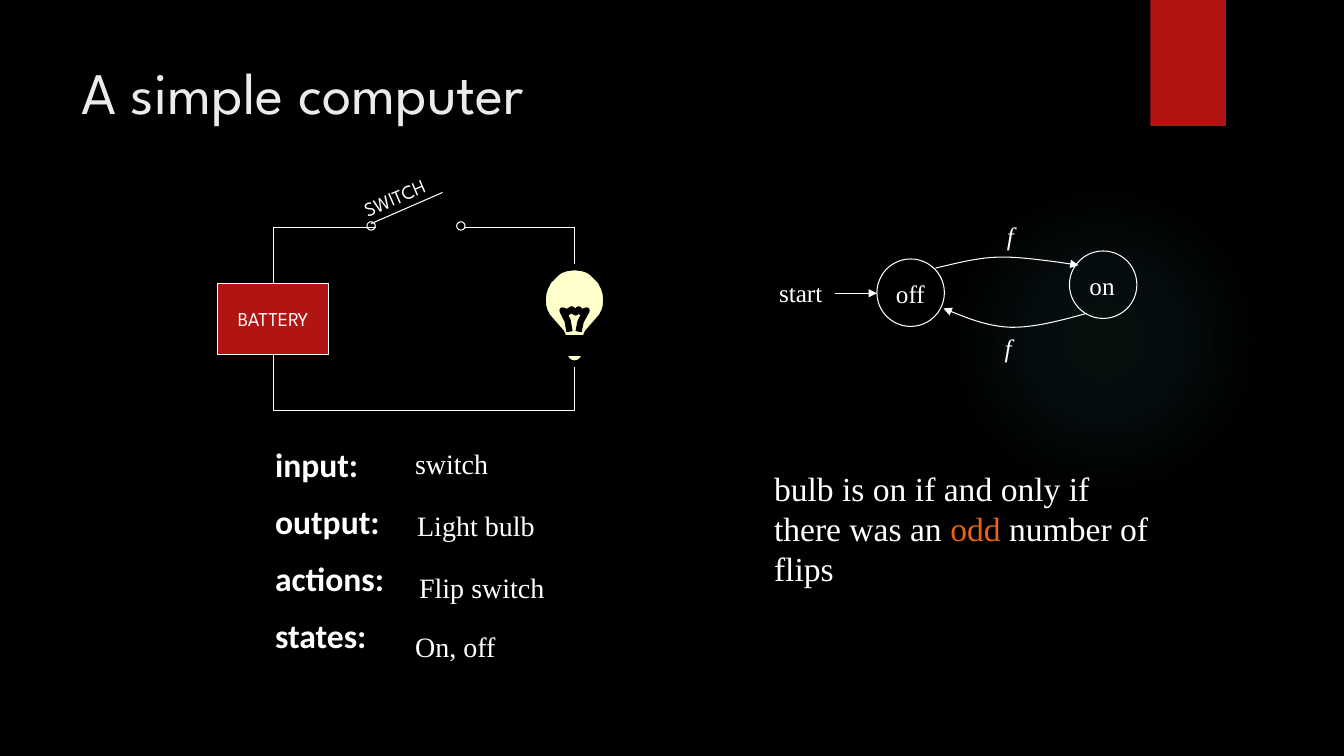
from dataclasses import dataclass

from lxml import etree
from pptx import Presentation
from pptx import util as u
from pptx.dml.color import RGBColor
from pptx.enum import shapes, text
from pptx.oxml import parse_xml
from pptx.oxml.ns import nsdecls, qn


@dataclass(frozen=True)
class Theme:
    black: str = "000000"
    white: str = "FFFFFF"
    heading: str = "EBEBEB"
    red: str = "B01513"
    orange: str = "EA6312"
    cream: str = "FFFFCC"
    glow: str = "50B9C1"
    display: str = "League Spartan"
    label: str = "Calibri"
    serif: str = "Times New Roman"
    title_size: float = 42
    body_size: float = 24
    value_size: float = 20
    state_size: float = 18
    part_size: float = 14
    thin: float = 0.75
    thick: float = 4.5


class Slide:
    def __init__(self, page, theme):
        self.page = page
        self.theme = theme
        page.background.fill.solid()
        page.background.fill.fore_color.rgb = RGBColor.from_string(theme.black)

    def paint(self, shape, fill=None, line=None, width=None):
        shape.shadow.inherit = False
        if fill:
            shape.fill.solid()
            shape.fill.fore_color.rgb = RGBColor.from_string(fill)
        else:
            shape.fill.background()
        if line:
            shape.line.color.rgb = RGBColor.from_string(line)
            shape.line.width = u.Pt(width or self.theme.thin)
        else:
            shape.line.fill.background()
        return shape

    def shape(self, kind, left, top, width, height, fill=None, line=None):
        frame = (u.Pt(v) for v in (left, top, width, height))
        return self.paint(self.page.shapes.add_shape(kind, *frame), fill, line)

    def circle(self, left, top, size, fill=None):
        return self.shape(shapes.MSO_SHAPE.OVAL, left, top, size, size, fill, self.theme.white)

    def glow(self, left, top, size, stops):
        shape = self.shape(shapes.MSO_SHAPE.OVAL, left, top, size, size, self.theme.glow)
        marks = "".join(
            f'<a:gs pos="{place * 1000}"><a:srgbClr val="{self.theme.glow}">'
            f'<a:alpha val="{alpha * 1000}"/></a:srgbClr></a:gs>' for place, alpha in stops)
        gradient = parse_xml(
            f'<a:gradFill {nsdecls("a")} rotWithShape="1"><a:gsLst>{marks}</a:gsLst>'
            '<a:path path="circle"><a:fillToRect l="50000" t="50000" r="50000" b="50000"/>'
            '</a:path></a:gradFill>')
        props = shape._element.spPr
        props.replace(props.find(qn("a:solidFill")), gradient)

    def arrowhead(self, shape, end):
        outline = shape._element.spPr.find(qn("a:ln"))
        etree.SubElement(outline, qn(f"a:{end}End"), type="triangle")

    def line(self, x1, y1, x2, y2, end=None):
        wire = self.page.shapes.add_connector(
            shapes.MSO_CONNECTOR.STRAIGHT, *(u.Pt(v) for v in (x1, y1, x2, y2)))
        wire.line.color.rgb = RGBColor.from_string(self.theme.white)
        wire.line.width = u.Pt(self.theme.thin)
        etree.SubElement(wire._element.spPr, qn("a:effectLst"))
        if end:
            self.arrowhead(wire, end)

    def outline(self, points, fill=None, line=None, width=None, close=False):
        first, *rest = [(u.Pt(x), u.Pt(y)) for x, y in points]
        builder = self.page.shapes.build_freeform(*first)
        builder.add_line_segments(rest, close=close)
        return self.paint(builder.convert_to_shape(), fill, line, width)

    def curve(self, start, segments, end, steps=12):
        """Trace joined cubic curves as a fine line with an arrowhead."""
        points = [start]
        for a, b, c in segments:
            origin = points[-1]
            for t in (i / steps for i in range(1, steps + 1)):
                weights = ((1 - t) ** 3, 3 * t * (1 - t) ** 2, 3 * t * t * (1 - t), t ** 3)
                points.append(tuple(
                    sum(w * p[axis] for w, p in zip(weights, (origin, a, b, c)))
                    for axis in (0, 1)))
        self.arrowhead(self.outline(points, line=self.theme.white), end)

    def fill_text(self, box, paragraphs, font, size, color=None, bold=False, italic=False,
                  gap=0, wrap=True):
        """Fill a box; each paragraph is a list of (words, colour) spans."""
        frame = box.text_frame
        frame.word_wrap = wrap
        for i, spans in enumerate(paragraphs):
            para = frame.add_paragraph() if i else frame.paragraphs[0]
            if i and gap:
                para.space_before = u.Pt(gap)
            para.font.name, para.font.size = font, u.Pt(size)
            para.font.bold, para.font.italic = bold, italic
            para.font.color.rgb = RGBColor.from_string(color or self.theme.white)
            for words, tint in spans:
                span = para.add_run()
                span.text = words
                if tint:
                    span.font.color.rgb = RGBColor.from_string(tint)
        return frame

    def text(self, left, top, width, height, paragraphs, font, size, **style):
        box = self.page.shapes.add_textbox(*(u.Pt(v) for v in (left, top, width, height)))
        if isinstance(paragraphs, str):
            paragraphs = [[(paragraphs, None)]]
        self.fill_text(box, paragraphs, font, size, **style)
        return box


def draw_circuit(slide):
    theme = slide.theme
    left, right, top, bottom = 195.1, 410.4, 162.7, 293

    # Switch
    slide.circle(262.1, 158.4, 6, theme.black)
    slide.line(265, 159.8, 316.1, 137.5)
    slide.circle(326.2, 158.4, 6, theme.black)

    # Wires
    for wire in ((left, top, 268.6, top), (left, top, left, 202.3),
                 (left, 253.4, left, bottom), (left, bottom, right, bottom),
                 (331.2, top, right, top), (right, top, right, bottom)):
        slide.line(*wire)

    # Battery
    battery = slide.shape(shapes.MSO_SHAPE.RECTANGLE, 155.5, 202.3, 79.2, 51.1,
                          theme.red, theme.white)
    frame = slide.fill_text(battery, [[("BATTERY", None)]], theme.display,
                            theme.part_size, wrap=False)
    frame.vertical_anchor = text.MSO_ANCHOR.MIDDLE
    frame.paragraphs[0].alignment = text.PP_ALIGN.CENTER

    # Bulb: half of the glass, mirrored about the wire
    half = [(0, 259.8), (2.9, 259.2), (5, 257.8), (7, 254.9), (7.9, 252), (7.9, 241.2),
            (9.4, 237.6), (15.1, 231.1), (19.4, 226.1), (21.6, 221.8), (22.5, 218.2),
            (22.7, 214), (22.3, 209.5), (20.9, 205.2), (18.7, 200.9), (15.8, 198),
            (13, 195.1), (10.1, 193), (5.8, 191.5), (0, 190.8)]
    glass = half + [(-x, y) for x, y in half[-2:0:-1]]
    filament = [(-3.6, 236.9), (-5, 229), (-7.9, 223.2), (-8.6, 221.8), (-5, 223.2),
                (-2.2, 221), (0.7, 223.2), (2.9, 221), (5, 223.2), (8.6, 221.8),
                (4.3, 229.7), (2.9, 236.9)]
    base = [(-7.9, 241.2), (7.9, 241.2), (7.9, 244.8), (-7.9, 244.8),
            (-7.9, 248.4), (7.9, 248.4), (7.9, 252), (-7.9, 252)]
    for part, fill in ((glass, theme.cream), (filament, None), (base, None)):
        slide.outline([(right + x, y) for x, y in part], fill, theme.black,
                      theme.thick, close=part is glass)

    label = slide.text(251.3, 127.4, 68.4, 23.8, "SWITCH", theme.display,
                       theme.part_size, wrap=False)
    label.rotation = 336.7


def draw_states(slide):
    theme = slide.theme

    # Labels
    for words, left, top, width, italic in (
            ("off", 632.9, 195.1, 35.3, False), ("on", 771.1, 189.4, 32.4, False),
            ("start", 549.4, 194.4, 45.4, False),
            ("f", 712.1, 154.1, 18.7, True), ("f", 710.6, 234, 18.7, True)):
        slide.text(left, top, width, 28.8, words, theme.serif, theme.state_size,
                   italic=italic, wrap=False)

    # States and transitions
    slide.circle(626.4, 185, 48.2)
    slide.circle(763.9, 179.3, 48.2)
    slide.curve((668.2, 191.5), [((684, 187.9), (699.1, 183.6), (716.4, 183.6)),
                                 ((729.6, 183.6), (751.7, 186.5), (770.4, 189.4))], "tail")
    slide.curve((673.9, 220.3), [((689.8, 226.8), (704.9, 233.3), (722.2, 233.8)),
                                 ((739.4, 234), (757.4, 229), (776.2, 223.9))], "head")
    slide.line(596.2, 209.5, 626.4, 209.5, "tail")


def main():
    deck = Presentation()
    deck.slide_width, deck.slide_height = u.Pt(960), u.Pt(540)
    theme = Theme()
    slide = Slide(deck.slides.add_slide(deck.slide_layouts[6]), theme)

    # Backdrop and title
    slide.glow(677.5, 131.8, 221.8, [(0, 7), (36, 6), (69, 0)])
    slide.shape(shapes.MSO_SHAPE.RECTANGLE, 821.7, 0, 54, 90, theme.red)
    slide.text(51.1, 36, 740.9, 110.2, "A simple computer", theme.display,
               theme.title_size, color=theme.heading)

    draw_circuit(slide)
    draw_states(slide)

    # Summary of the machine
    terms = ("input:", "output:", "actions:", "states:")
    slide.text(189.4, 313.2, 105.1, 167, [[(term, None)] for term in terms],
               theme.label, theme.body_size, bold=True, gap=12)
    for words, left, top, width in (
            ("switch", 289.4, 315.4, 81.4), ("Light bulb", 290.9, 360, 105.1),
            ("Flip switch", 292.3, 403.9, 105.1), ("On, off", 289.4, 446.4, 81.4)):
        slide.text(left, top, width, 31.7, words, theme.serif, theme.value_size)

    # Conclusion
    slide.text(545.8, 330.5, 283.7, 94.3,
               [[("bulb is on if and only if there was an ", None), ("odd", theme.orange),
                 (" number of flips", None)]], theme.serif, theme.body_size)

    deck.save("out.pptx")


if __name__ == "__main__":
    main()
